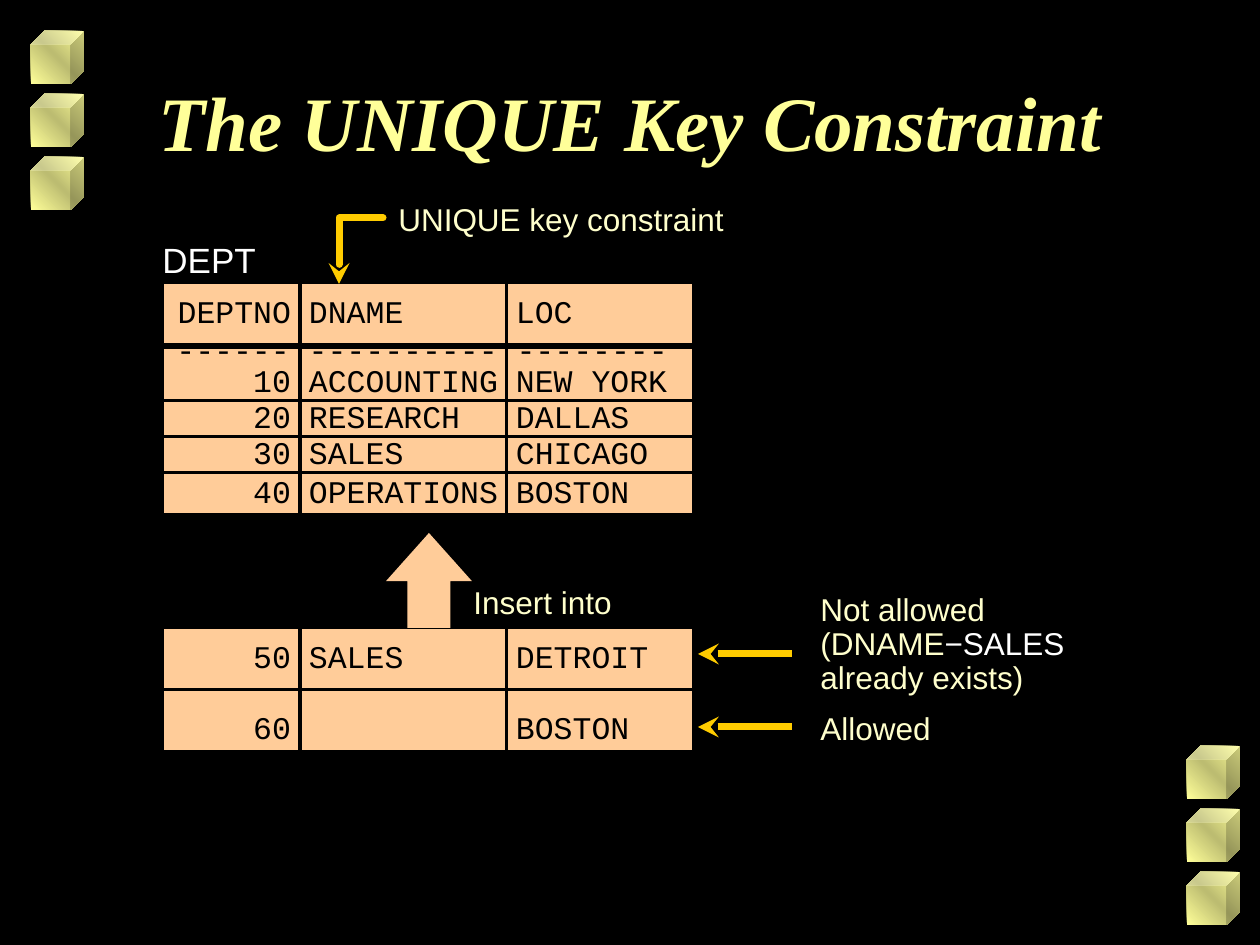
"""Build the UNIQUE key constraint slide."""
from copy import deepcopy
from dataclasses import dataclass

from lxml import etree
from pptx import Presentation
from pptx.dml.color import RGBColor
from pptx.enum import shapes, text
from pptx.oxml import ns
from pptx.util import Emu, Pt

PX = 914400 // 126


@dataclass(frozen=True)
class Theme:
    black: str = "000000"
    white: str = "FFFFFF"
    yellow: str = "FFFF99"
    olive: str = "BCBC71"
    cream: str = "FFFFCC"
    peach: str = "FFCC99"
    gold: str = "FFCC00"
    title_font: str = "Times New Roman"
    label_font: str = "Arial"
    data_font: str = "Courier New"
    title_size: int = 44
    name_size: int = 20
    text_size: int = 18
    rule: int = 2
    heavy: int = 4


THEME = Theme()
TITLE = "The UNIQUE Key Constraint"
TABLE_LEFT = 162
COLUMNS = (138, 207, 187)
TABLES = [
    {"top": 282, "header": True, "rows": [
        (64, 0, ("DEPTNO", "DNAME", "LOC")),
        (54, 19, ("10", "ACCOUNTING", "NEW YORK")),
        (36, 0, ("20", "RESEARCH", "DALLAS")),
        (36, 0, ("30", "SALES", "CHICAGO")),
        (42, 0, ("40", "OPERATIONS", "BOSTON"))]},
    {"top": 628, "header": False, "rows": [
        (62, 0, ("50", "SALES", "DETROIT")),
        (62, 18, ("60", "", "BOSTON"))]},
]
LABELS = [
    ((386, 198, 404, 47), [("UNIQUE key constraint", THEME.cream)]),
    ((461, 581, 358, 47), [("Insert into", THEME.cream)]),
    ((808, 588, 377, 115), [("Not allowed \n(DNAME", THEME.cream),
                            ("−SALES", THEME.white),
                            (" already exists)", THEME.cream)]),
    ((808, 707, 377, 47), [("Allowed", THEME.cream)]),
]
CUBE_SIZE, CUBE_STEP = 53, 63
CUBE_STACKS = [(31, 31), (1187, 746)]
ARROW_ROWS = (654, 727)
ARROW_ENDS = (698, 792)
ELBOW = [(383, 218), (339, 218), (339, 284)]


def px(*values):
    return [Emu(value * PX) for value in values]


def color(value):
    return RGBColor.from_string(value)


def style(font, name, size, shade=None):
    font.name, font.size = name, Pt(size)
    if shade:
        font.color.rgb = color(shade)


def add_label(page, place, spans, name=THEME.label_font,
              size=THEME.text_size, spacing=0.9, wrap=True):
    frame = page.shapes.add_textbox(*px(*place)).text_frame
    frame.word_wrap = wrap
    para = frame.paragraphs[0]
    para.line_spacing = spacing
    style(para.font, name, size)
    for words, shade in spans:
        for index, line in enumerate(words.split("\n")):
            if index:
                para.add_line_break()
            span = para.add_run()
            span.text = line
            span.font.color.rgb = color(shade)


def add_border(cell, side, width):
    line = etree.SubElement(cell._tc.get_or_add_tcPr(), ns.qn(f"a:{side}"),
                            w=str(Pt(width)))
    fill = etree.SubElement(line, ns.qn("a:solidFill"))
    etree.SubElement(fill, ns.qn("a:srgbClr"), val=THEME.black)


def add_data_table(page, top, header, rows):
    frame = page.shapes.add_table(
        len(rows), len(COLUMNS),
        *px(TABLE_LEFT, top, sum(COLUMNS), sum(row[0] for row in rows)))
    table = frame.table
    table.first_row, table.horz_banding = header, False
    for column, width in zip(table.columns, COLUMNS):
        column.width = Emu(width * PX)
    for r, (height, drop, values) in enumerate(rows):
        table.rows[r].height = Emu(height * PX)
        for c, value in enumerate(values):
            cell = table.cell(r, c)
            cell.margin_left, cell.margin_right = px(9, 9 if c == 0 else 0)
            cell.margin_top, cell.margin_bottom = px(drop, 0)
            cell.vertical_anchor = text.MSO_ANCHOR.MIDDLE
            for side in ("lnL", "lnR", "lnT", "lnB"):
                below_header = header and (r, side) in ((0, "lnB"), (1, "lnT"))
                add_border(cell, side, THEME.heavy if below_header else THEME.rule)
            cell.fill.solid()
            cell.fill.fore_color.rgb = color(THEME.peach)
            para = cell.text_frame.paragraphs[0]
            para.text = value
            para.line_spacing = 0.95
            para.alignment = text.PP_ALIGN.RIGHT if c == 0 else text.PP_ALIGN.LEFT
            style(para.font, THEME.data_font, THEME.text_size, THEME.black)
            para.font.bold = False


def add_cube(page, left, top):
    cube = page.shapes.add_shape(shapes.MSO_SHAPE.CUBE,
                                 *px(left, top, CUBE_SIZE, CUBE_SIZE))
    cube.shadow.inherit = False
    cube.line.fill.background()
    cube.fill.gradient()
    cube.fill.gradient_angle = 45
    for stop in cube.fill.gradient_stops:
        stop.color.rgb = color(THEME.yellow)
    first = cube._element.spPr.find(".//" + ns.qn("a:gs"))
    middle = deepcopy(first)
    middle.set("pos", "50000")
    middle.find(ns.qn("a:srgbClr")).set("val", THEME.olive)
    first.addnext(middle)


def style_arrow(shape, end):
    shape.line.color.rgb = color(THEME.gold)
    shape.line.width = Pt(THEME.heavy)
    etree.SubElement(shape.line._get_or_add_ln(), ns.qn(f"a:{end}"), type="stealth")


def main():
    deck = Presentation()
    deck.slide_width, deck.slide_height = px(1260, 945)
    page = deck.slides.add_slide(deck.slide_layouts[5])
    page.background.fill.solid()
    page.background.fill.fore_color.rgb = color(THEME.black)

    for left, top in CUBE_STACKS:
        for index in range(3):
            add_cube(page, left, top + index * CUBE_STEP)

    title = page.shapes.title
    title.left, title.top, title.width, title.height = px(95, 42, 1071, 158)
    title.text_frame.text = TITLE
    title.text_frame.vertical_anchor = text.MSO_ANCHOR.MIDDLE
    para = title.text_frame.paragraphs[0]
    para.alignment = text.PP_ALIGN.CENTER
    style(para.font, THEME.title_font, THEME.title_size, THEME.yellow)
    para.font.bold = para.font.italic = True

    add_label(page, (150, 232, 129, 54), [("DEPT", THEME.white)],
              size=THEME.name_size, spacing=1, wrap=False)
    for spec in TABLES:
        add_data_table(page, **spec)
    add_label(page, (164, 324, 530, 47),
              [("------ ---------- --------", THEME.black)],
              name=THEME.data_font, spacing=1)
    for place, spans in LABELS:
        add_label(page, place, spans)

    insert = page.shapes.add_shape(shapes.MSO_SHAPE.UP_ARROW, *px(386, 533, 86, 95))
    insert.adjustments[1] = 0.56
    insert.shadow.inherit = False
    insert.fill.solid()
    insert.fill.fore_color.rgb = color(THEME.peach)
    insert.line.fill.background()

    builder = page.shapes.build_freeform(*ELBOW[0], scale=PX)
    builder.add_line_segments(ELBOW[1:], close=False)
    elbow = builder.convert_to_shape()
    elbow.shadow.inherit = False
    elbow.fill.background()
    style_arrow(elbow, "tailEnd")
    elbow.line._get_or_add_ln().set("cap", "rnd")

    for y in ARROW_ROWS:
        arrow = page.shapes.add_connector(
            shapes.MSO_CONNECTOR.STRAIGHT, *px(ARROW_ENDS[0], y, ARROW_ENDS[1], y))
        style_arrow(arrow, "headEnd")
        etree.SubElement(arrow._element.spPr, ns.qn("a:effectLst"))

    deck.save("out.pptx")


if __name__ == "__main__":
    main()
